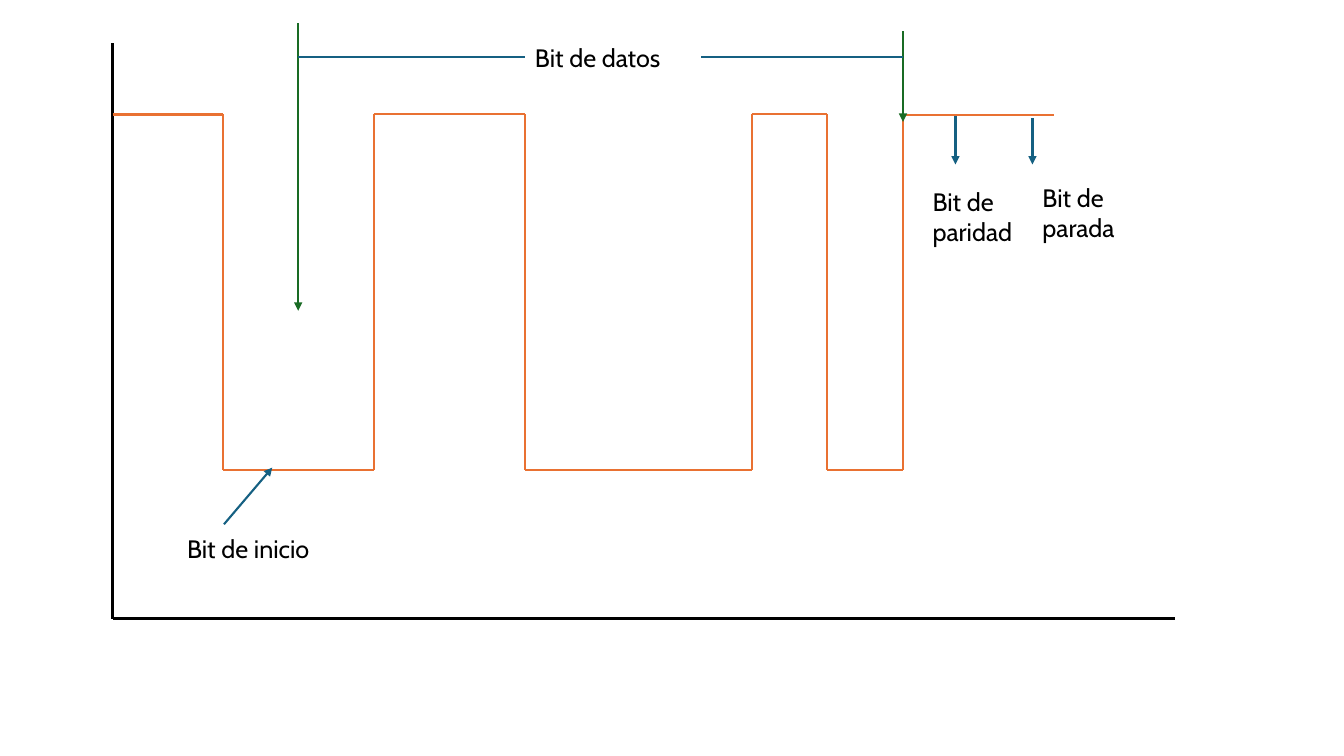
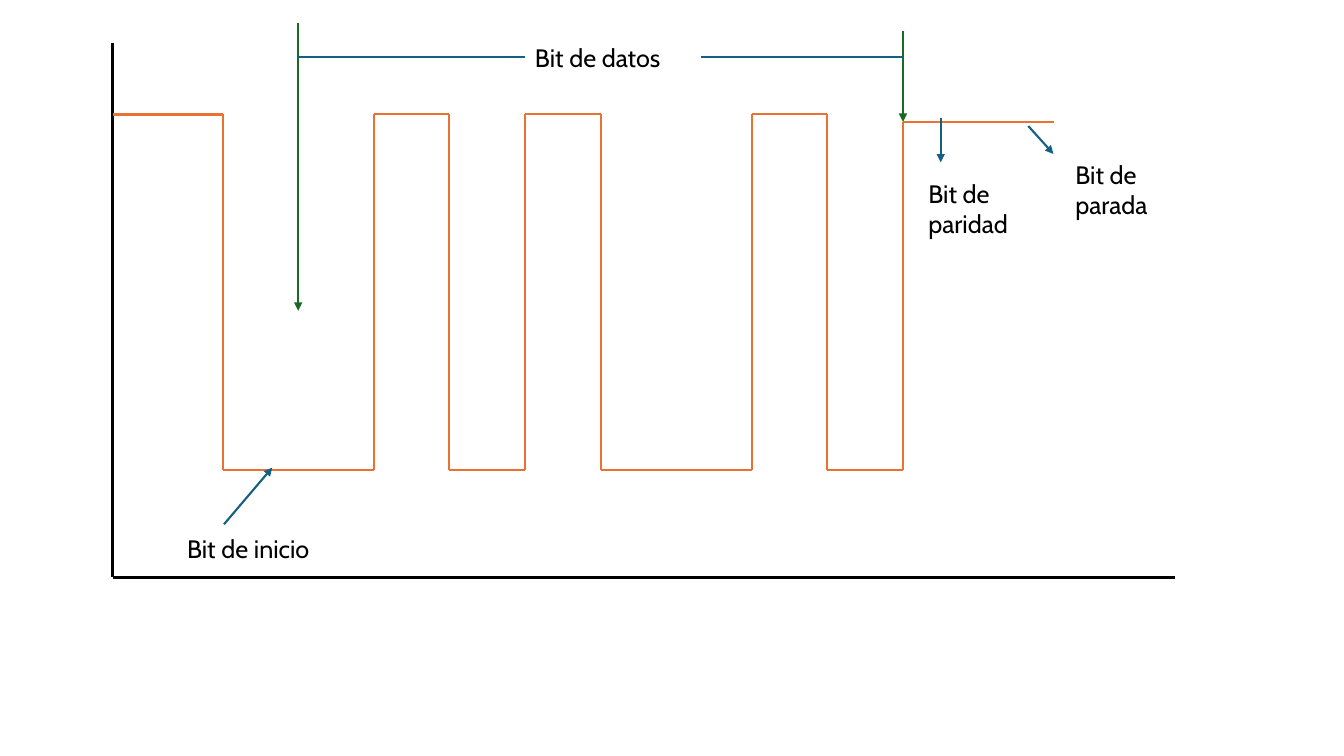
"""Build two timing diagrams of a serial data frame."""
from pptx import Presentation
from pptx.dml.color import RGBColor
from pptx.enum.shapes import MSO_CONNECTOR
from pptx.enum.text import MSO_AUTO_SIZE
from pptx.oxml.ns import qn
from pptx.util import Pt
from lxml import etree

STRAIGHT = MSO_CONNECTOR.STRAIGHT
GROW = MSO_AUTO_SIZE.SHAPE_TO_FIT_TEXT
LEFT_SITE, RIGHT_SITE = 1, 3

BLACK, ORANGE, BLUE, GREEN = "000000", "E97132", "156082", "196B24"
THIN, THICK = 1.5, 2
LABEL_FORMAT = {"name": "Cabin", "size": Pt(18)}

AXIS_LEFT, AXIS_RIGHT, AXIS_TOP = 80.5, 839.5, 31
FRAME_LEFT, BIT_WIDTH = 159, 54
HIGH, LOW = 81.5, 336
DATA_LEFT, DATA_RIGHT = FRAME_LEFT + BIT_WIDTH, FRAME_LEFT + 9 * BIT_WIDTH
DATA_LINE_TOP = 41

FRAMES = [
    {
        "axis_bottom": 442,
        "bits": "00110001011",
        "stop_level": 82,
        "marker_arrows": [(682.5, 83, 682.5, 117.5), (737.5, 84.5, 737.5, 117.5)],
        "marker_labels": [("Bit de paridad", 659, 129.5), ("Bit de parada", 737.5, 126.5)],
    },
    {
        "axis_bottom": 412.5,
        "bits": "00101001011",
        "stop_level": 87,
        "marker_arrows": [(672, 84.5, 672, 116), (734.5, 90, 752.5, 110)],
        "marker_labels": [("Bit de paridad", 656, 124), ("Bit de parada", 761, 110)],
    },
]


def color(hex_code):
    """Turn a hex string into a colour."""
    return RGBColor.from_string(hex_code)


def add_line(slide, points, hex_code, width=THIN, arrow=False):
    """Draw a straight line through (x1, y1, x2, y2), with an optional arrowhead."""
    connector = slide.shapes.add_connector(STRAIGHT, *(Pt(value) for value in points))
    connector.line.color.rgb = color(hex_code)
    connector.line.width = Pt(width)
    if arrow:
        outline = connector.line._get_or_add_ln()
        etree.SubElement(outline, qn("a:tailEnd"), type="triangle")
    etree.SubElement(connector._element.spPr, qn("a:effectLst"))
    return connector


def add_label(slide, text, left, top, width, height):
    """Write a wrapped label that grows with its text."""
    label = slide.shapes.add_textbox(Pt(left), Pt(top), Pt(width), Pt(height))
    frame = label.text_frame
    frame.word_wrap = True
    frame.auto_size = GROW
    run = frame.paragraphs[0].add_run()
    run.text = text
    for attribute, value in LABEL_FORMAT.items():
        setattr(run.font, attribute, value)
    run.font.color.rgb = color(BLACK)
    return label


def add_axes(slide, bottom):
    """Draw the vertical and horizontal axes."""
    add_line(slide, (AXIS_LEFT, AXIS_TOP, AXIS_LEFT, bottom), BLACK, THICK)
    add_line(slide, (AXIS_LEFT, bottom, AXIS_RIGHT, bottom), BLACK, THICK)


def add_signal(slide, bits, stop_level):
    """Draw the idle line, then one level per bit and an edge at each change."""
    add_line(slide, (AXIS_LEFT, HIGH, FRAME_LEFT, HIGH), ORANGE, THICK)
    levels = [HIGH if bit == "1" else LOW for bit in bits]
    levels[-2:] = [stop_level, stop_level]
    previous = HIGH
    for index, level in enumerate(levels):
        left = FRAME_LEFT + index * BIT_WIDTH
        if level != previous:
            add_line(slide, (left, previous, left, level), ORANGE)
        add_line(slide, (left, level, left + BIT_WIDTH, level), ORANGE)
        previous = level


def add_start_marker(slide):
    """Point out the start bit."""
    add_line(slide, (160, 374.5, 194.5, 334), BLUE, arrow=True)
    add_label(slide, "Bit de inicio", 126.5, 377.5, 106, 29)


def add_data_span(slide):
    """Mark the limits of the data bits and join them to their label."""
    add_line(slide, (DATA_LEFT, 16.5, DATA_LEFT, 222), GREEN, arrow=True)
    add_line(slide, (DATA_RIGHT, 22.5, DATA_RIGHT, 87), GREEN, arrow=True)
    label = add_label(slide, "Bit de datos", 375, 26.5, 126, 29)
    for limit, site in ((DATA_LEFT, LEFT_SITE), (DATA_RIGHT, RIGHT_SITE)):
        span = add_line(slide, (limit, DATA_LINE_TOP, limit, DATA_LINE_TOP), BLUE)
        span.end_connect(label, site)


def add_frame_slide(presentation, frame):
    """Add a slide with the diagram of one data frame."""
    slide = presentation.slides.add_slide(presentation.slide_layouts[6])
    add_axes(slide, frame["axis_bottom"])
    add_signal(slide, frame["bits"], frame["stop_level"])
    add_start_marker(slide)
    add_data_span(slide)
    for points in frame["marker_arrows"]:
        add_line(slide, points, BLUE, arrow=True)
    for text, left, top in frame["marker_labels"]:
        add_label(slide, text, left, top, 78.5, 51)


def main():
    """Build and save the presentation."""
    presentation = Presentation()
    presentation.slide_width, presentation.slide_height = Pt(960), Pt(540)
    for frame in FRAMES:
        add_frame_slide(presentation, frame)
    presentation.save("out.pptx")


if __name__ == "__main__":
    main()
